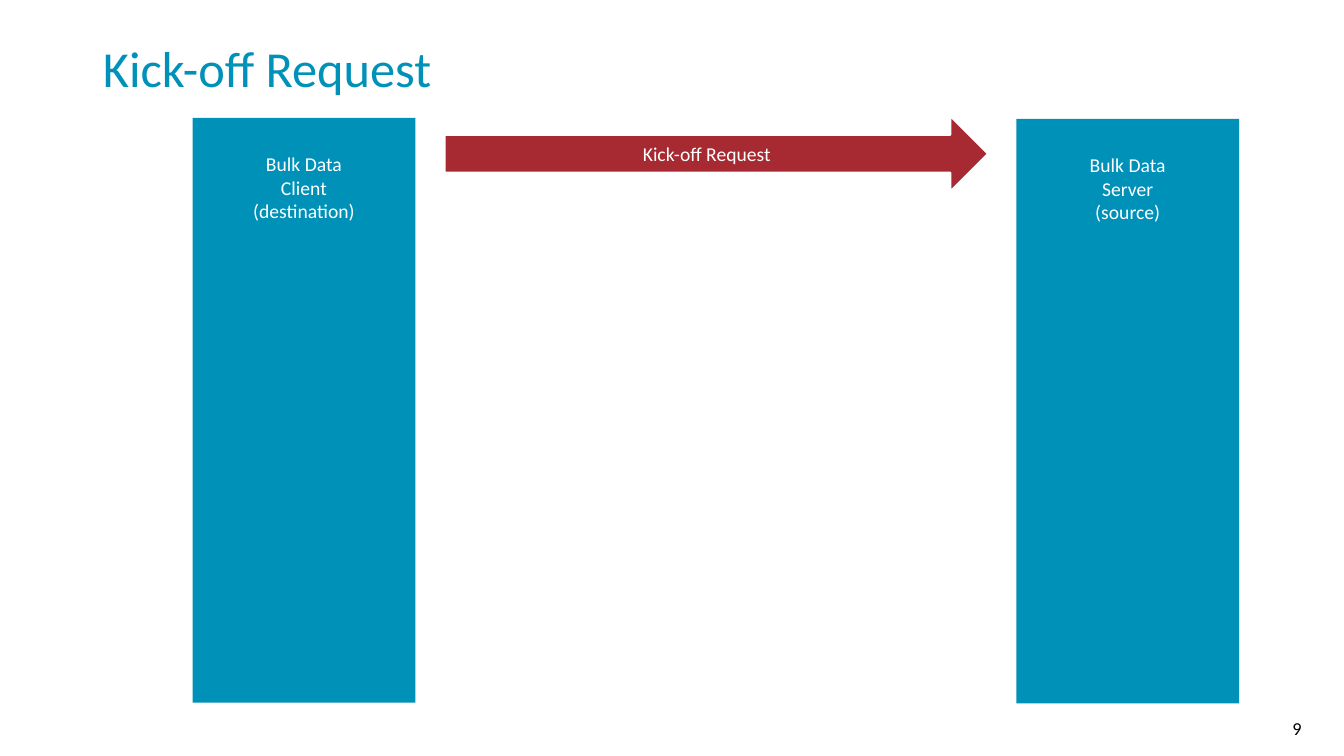
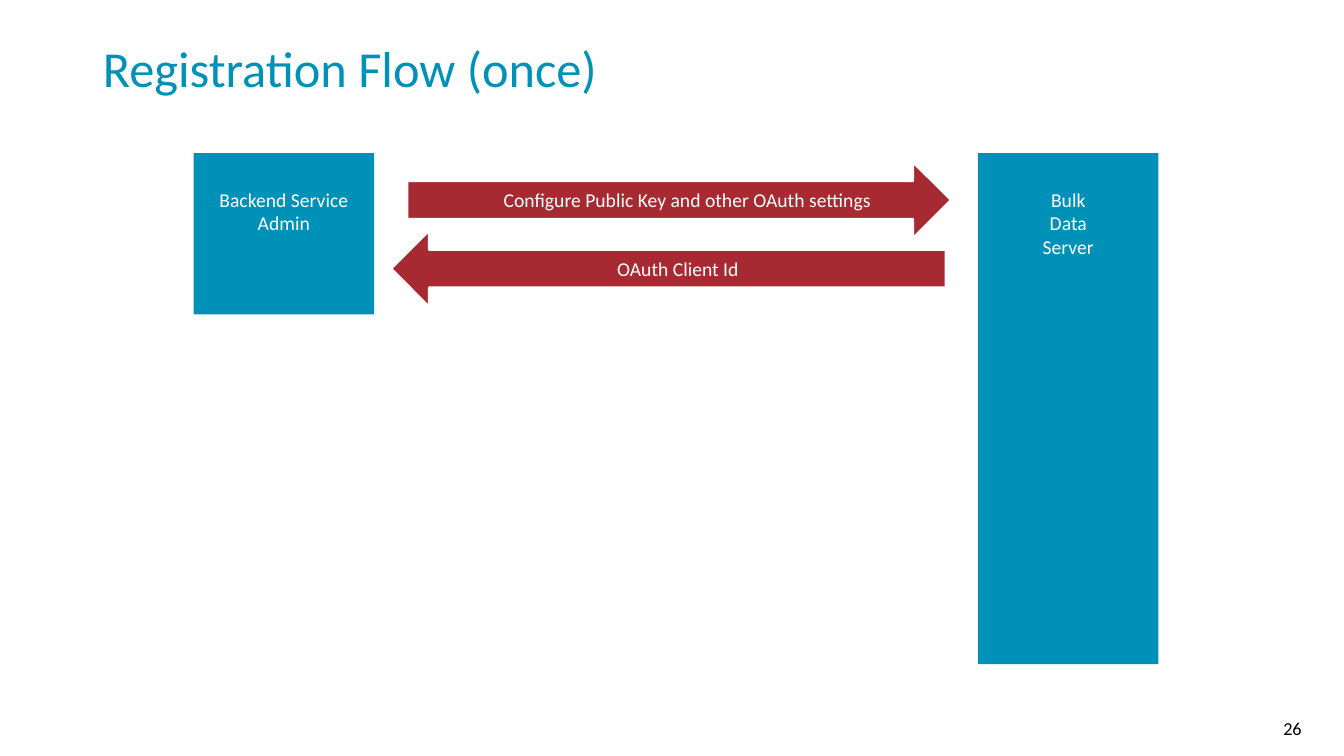
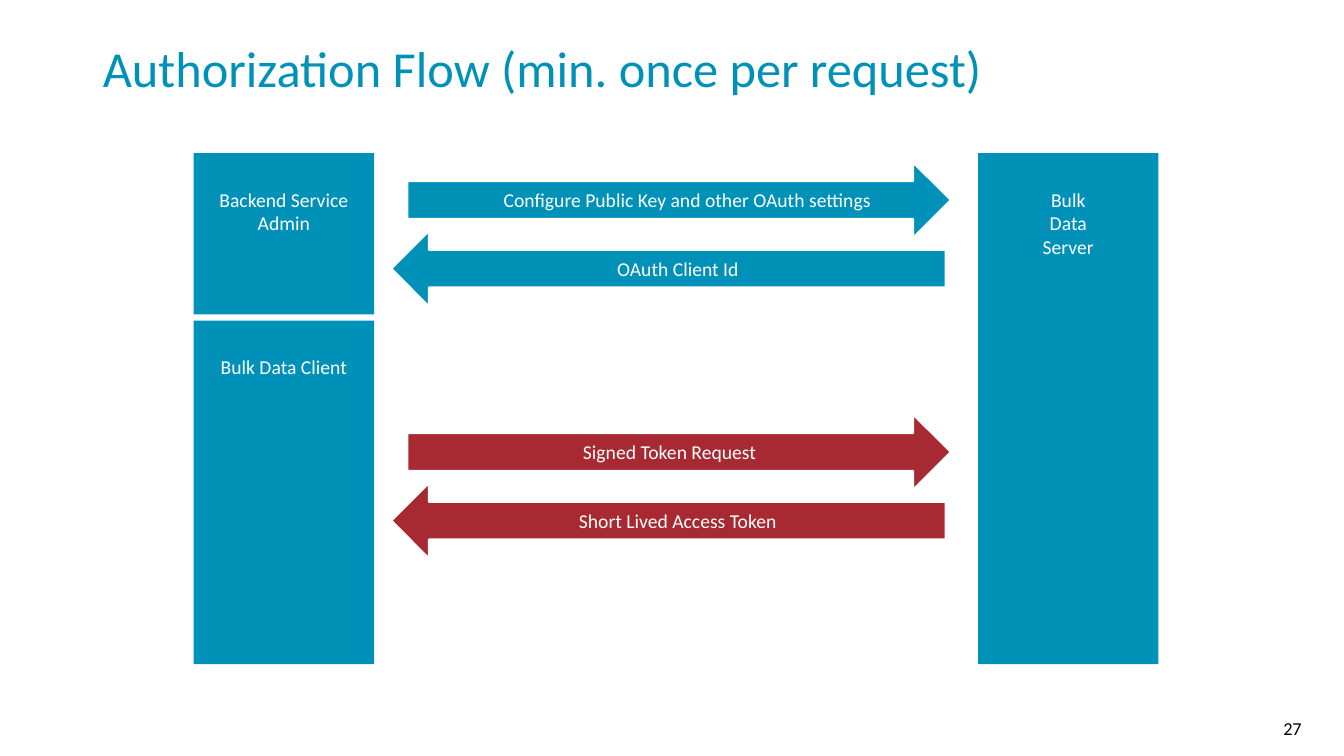
from pptx import Presentation
from pptx.dml.color import RGBColor
from pptx.enum.shapes import MSO_SHAPE as SHAPE
from pptx.enum.text import MSO_ANCHOR as ANCHOR, MSO_AUTO_SIZE as AUTO, PP_ALIGN as ALIGN
from pptx.util import Inches, Pt

FONT = "Calibri"
COLORS = {"blue": "0091B9", "red": "A72931", "white": "FFFFFF", "black": "000000"}

# Boxes: text, left, top, width, height
ADMIN = ("Backend Service Admin", 1.92, 1.52, 1.79, 1.6)
CLIENT = ("Bulk Data Client", 1.92, 3.18, 1.79, 3.41)
SERVER = ("Bulk\nData\nServer", 9.7, 1.52, 1.79, 5.07)

# Arrows: direction, left, width
REQUEST = (SHAPE.RIGHT_ARROW, 4.04, 5.39)
REPLY = (SHAPE.LEFT_ARROW, 3.88, 5.5)
ARROW_H = 0.75
REPLY_STEP = 0.68
REGISTER_TOP, TOKEN_TOP = 1.61, 4.11


def exchange(request, reply, top, color, indent=0):
    """Describe a request arrow and the reply below it."""
    return [(request, REQUEST, top, color, indent),
            (reply, REPLY, top + REPLY_STEP, color, 0)]


def registration(color):
    return exchange("Configure Public Key and other OAuth settings", "OAuth Client Id",
                    REGISTER_TOP, color, indent=0.35)


SLIDES = [
    {"title": "Kick-off Request", "number": 9,
     "boxes": [("Bulk Data\nClient\n(destination)", 1.91, 1.17, 2.21, 5.8),
               ("Bulk Data\nServer\n(source)", 10.08, 1.18, 2.21, 5.8)],
     "arrows": [("Kick-off Request", (SHAPE.RIGHT_ARROW, 4.41, 5.39), 1.15, "red", 0)]},
    {"title": "Registration Flow (once)", "number": 26,
     "boxes": [ADMIN, SERVER],
     "arrows": registration("red")},
    {"title": "Authorization Flow (min. once per request)", "number": 27,
     "boxes": [ADMIN, CLIENT, SERVER],
     "arrows": registration("blue") + exchange(
         "Signed Token Request", "Short Lived Access Token", TOKEN_TOP, "red")},
]


def rgb(name):
    return RGBColor.from_string(COLORS[name])


def write(sp, text, size=14, color="white", align=ALIGN.CENTER, anchor=ANCHOR.TOP,
          insets=(0.1, 0.1, 0.1, 0.1), spacing=None):
    """Fill a shape with one paragraph per line; insets are left, top, right, bottom."""
    tf = sp.text_frame
    tf.word_wrap = True
    tf.auto_size = AUTO.NONE
    tf.vertical_anchor = anchor
    tf.margin_left, tf.margin_top, tf.margin_right, tf.margin_bottom = map(Inches, insets)
    for i, line in enumerate(text.split("\n")):
        p = tf.add_paragraph() if i else tf.paragraphs[0]
        p.alignment = align
        if spacing:
            p.line_spacing = spacing
        r = p.add_run()
        r.text = line
        r.font.name, r.font.size = FONT, Pt(size)
        r.font.color.rgb = rgb(color)


def add_filled(s, kind, left, top, width, height, color):
    sp = s.shapes.add_shape(kind, *map(Inches, (left, top, width, height)))
    sp.shadow.inherit = False
    sp.fill.solid()
    sp.fill.fore_color.rgb = rgb(color)
    return sp


def add_box(s, text, *place):
    sp = add_filled(s, SHAPE.RECTANGLE, *place, "blue")
    sp.line.fill.background()
    write(sp, text, insets=(0.1, 0.34, 0.1, 0.1))


def add_arrow(s, text, form, top, color, indent):
    kind, left, width = form
    sp = add_filled(s, kind, left, top, width, ARROW_H, color)
    sp.line.color.rgb = rgb("white")
    sp.line.width = Pt(1.5)
    write(sp, text, anchor=ANCHOR.MIDDLE, insets=(0.1 + indent, 0.1, 0.1, 0.1))


def add_slide(prs, title, number, boxes, arrows):
    s = prs.slides.add_slide(prs.slide_layouts[5])
    heading = s.shapes.title
    heading.left, heading.top, heading.width, heading.height = map(
        Inches, (0.92, 0.39, 11.5, 0.97))
    write(heading, title, size=36, color="blue", align=ALIGN.LEFT,
          insets=(0.1, 0.05, 0.1, 0.05), spacing=0.9)
    page = s.shapes.add_textbox(*map(Inches, (12.5, 7.1, 0.41, 0.24)))
    write(page, str(number), size=13, color="black", align=ALIGN.RIGHT,
          anchor=ANCHOR.MIDDLE, insets=(0, 0, 0, 0))
    for box in boxes:
        add_box(s, *box)
    for arrow in arrows:
        add_arrow(s, *arrow)


def main():
    prs = Presentation()
    prs.slide_width, prs.slide_height = Inches(13.33), Inches(7.5)
    for content in SLIDES:
        add_slide(prs, **content)
    prs.save("out.pptx")


if __name__ == "__main__":
    main()
